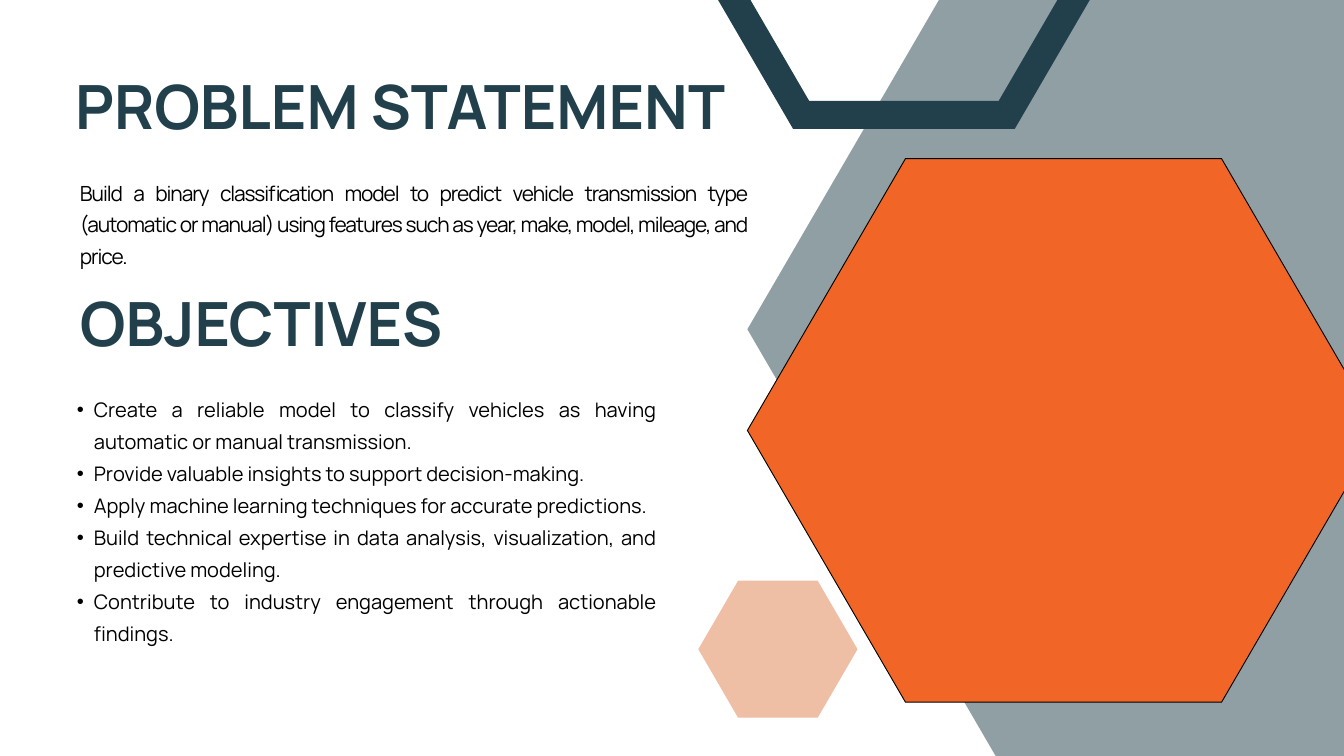
from lxml import etree
from pptx import Presentation
from pptx.dml.color import RGBColor
from pptx.enum.shapes import MSO_SHAPE
from pptx.enum.text import MSO_AUTO_SIZE, PP_ALIGN
from pptx.oxml.ns import qn
from pptx.util import Pt

HEXAGON = MSO_SHAPE.HEXAGON
LEFT, JUSTIFY = PP_ALIGN.LEFT, PP_ALIGN.JUSTIFY
GROW = MSO_AUTO_SIZE.SHAPE_TO_FIT_TEXT

NAVY = RGBColor(0x21, 0x40, 0x4B)
GREY = RGBColor(0x8F, 0x9F, 0xA4)
ORANGE = RGBColor(0xF1, 0x65, 0x26)
PEACH = RGBColor(0xE7, 0xA3, 0x7F)
BLACK = RGBColor(0, 0, 0)
FONT = "Manrope"

STATEMENT = (
    "Build a binary classification model to predict vehicle transmission type "
    "(automatic or manual) using features such as year, make, model, mileage, and price."
)
OBJECTIVES = [
    "Create a reliable model to classify vehicles as having automatic or manual transmission.",
    "Provide valuable insights to support decision-making.",
    "Apply machine learning techniques for accurate predictions.",
    "Build technical expertise in data analysis, visualization, and predictive modeling.",
    "Contribute to industry engagement through actionable findings.",
]


def add_hexagon(slide, left, top, width, height, fill=None, alpha=None, line=None, weight=1):
    """Add a flat-topped hexagon whose corners sit at a quarter of its width."""
    sp = slide.shapes.add_shape(HEXAGON, Pt(left), Pt(top), Pt(width), Pt(height))
    sp.shadow.inherit = False
    sp.adjustments[0] = width / (4 * height)
    if fill is None:
        sp.fill.background()
    else:
        sp.fill.solid()
        sp.fill.fore_color.rgb = fill
    if alpha is not None:
        color = sp.fill._xPr.find(qn("a:solidFill"))[0]
        etree.SubElement(color, qn("a:alpha"), val=str(alpha * 1000))
    if line is None:
        sp.line.fill.background()
    else:
        sp.line.color.rgb = line
        sp.line.width = Pt(weight)
        etree.SubElement(sp.line._get_or_add_ln(), qn("a:miter"), lim="800000")


def set_bullet(p, margin, indent):
    pPr = p._p.get_or_add_pPr()
    pPr.set("marL", str(Pt(margin)))
    pPr.set("indent", str(Pt(indent)))
    etree.SubElement(pPr, qn("a:buFont"), typeface="Arial")
    etree.SubElement(pPr, qn("a:buChar"), char="•")


def add_text(slide, paragraphs, left, top, width, height, *, size, spacing,
             color=BLACK, bold=False, align=LEFT, tracking=None, bullets=False):
    box = slide.shapes.add_textbox(Pt(left), Pt(top), Pt(width), Pt(height))
    tf = box.text_frame
    tf.word_wrap = True
    tf.auto_size = GROW
    tf.margin_left = tf.margin_top = tf.margin_right = tf.margin_bottom = 0
    for i, text in enumerate(paragraphs):
        p = tf.add_paragraph() if i else tf.paragraphs[0]
        p.alignment = align
        p.line_spacing = Pt(spacing)
        if bullets:
            p.level = 1
            set_bullet(p, 36.5, -18.25)
        r = p.add_run()
        r.text = text
        r.font.name = FONT
        r.font.size = Pt(size)
        r.font.bold = bold
        r.font.color.rgb = color
        if tracking is not None:
            r._r.get_or_add_rPr().set("spc", str(round(tracking * 100)))


def add_heading(slide, text, left, top):
    add_text(slide, [text], left, top, 752.4, 75, size=65.3, spacing=67.9,
             color=NAVY, bold=True)


def main():
    prs = Presentation()
    prs.slide_width, prs.slide_height = Pt(1440), Pt(810)
    slide = prs.slides.add_slide(prs.slide_layouts[6])

    add_hexagon(slide, 800.8, -104.4, 1064, 914.4, fill=GREY)
    add_hexagon(slide, 748.2, -255.6, 440.6, 378.7, line=NAVY, weight=30)
    add_hexagon(slide, 800.8, 170, 677.4, 582.4, fill=ORANGE, line=BLACK)
    add_hexagon(slide, 748.2, 622.2, 170.6, 146.8, fill=PEACH, alpha=70)

    add_heading(slide, "PROBLEM STATEMENT", 80.6, 84.2)
    add_text(slide, [STATEMENT], 85.7, 186.5, 715, 131.8, size=22.4, spacing=33.7,
             align=JUSTIFY, tracking=-1.2)
    add_heading(slide, "OBJECTIVES", 85.7, 316.8)
    add_text(slide, OBJECTIVES, 64.1, 417.6, 639.4, 337.7, size=21.5, spacing=34.2,
             align=JUSTIFY, bullets=True)

    prs.save("out.pptx")


if __name__ == "__main__":
    main()
